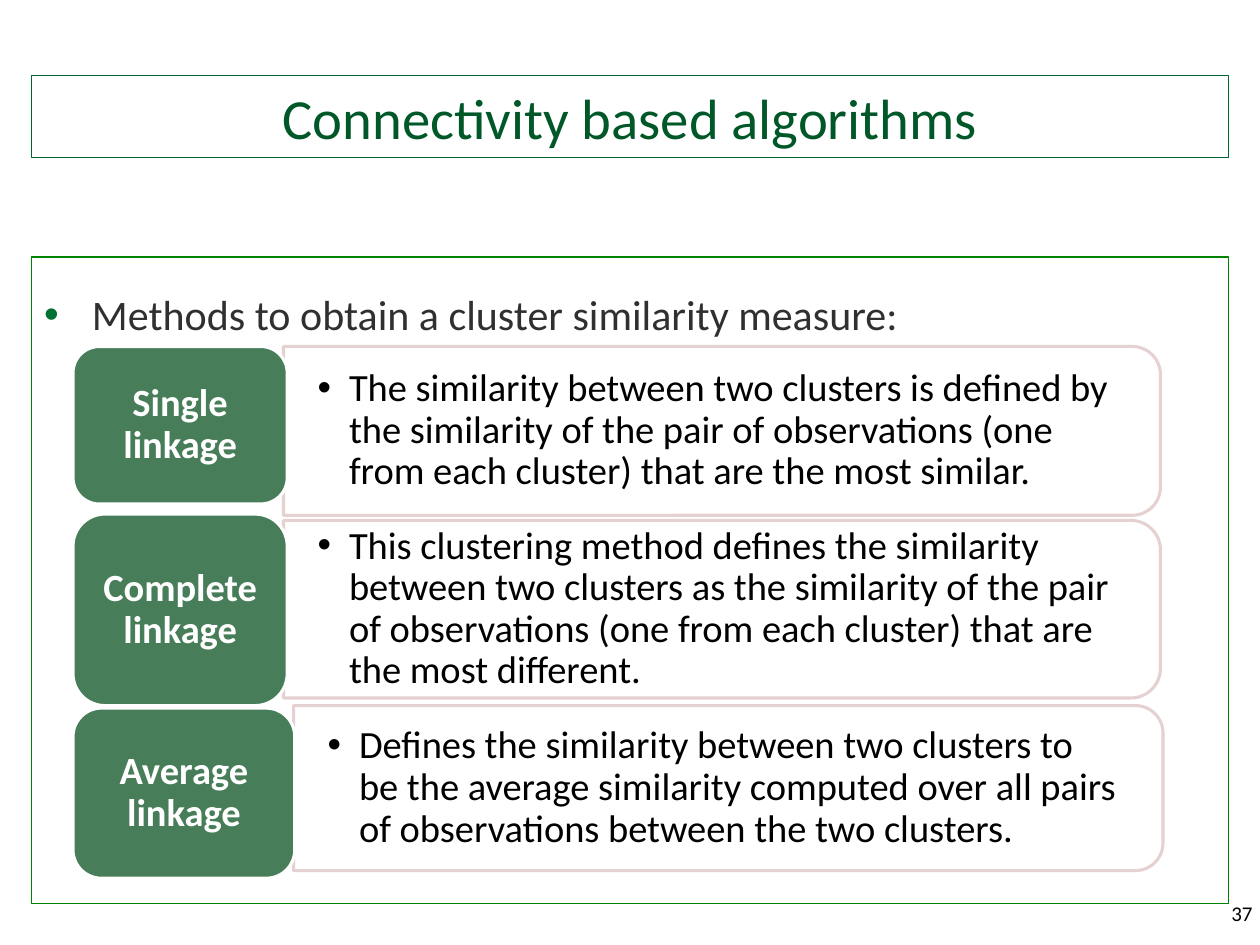
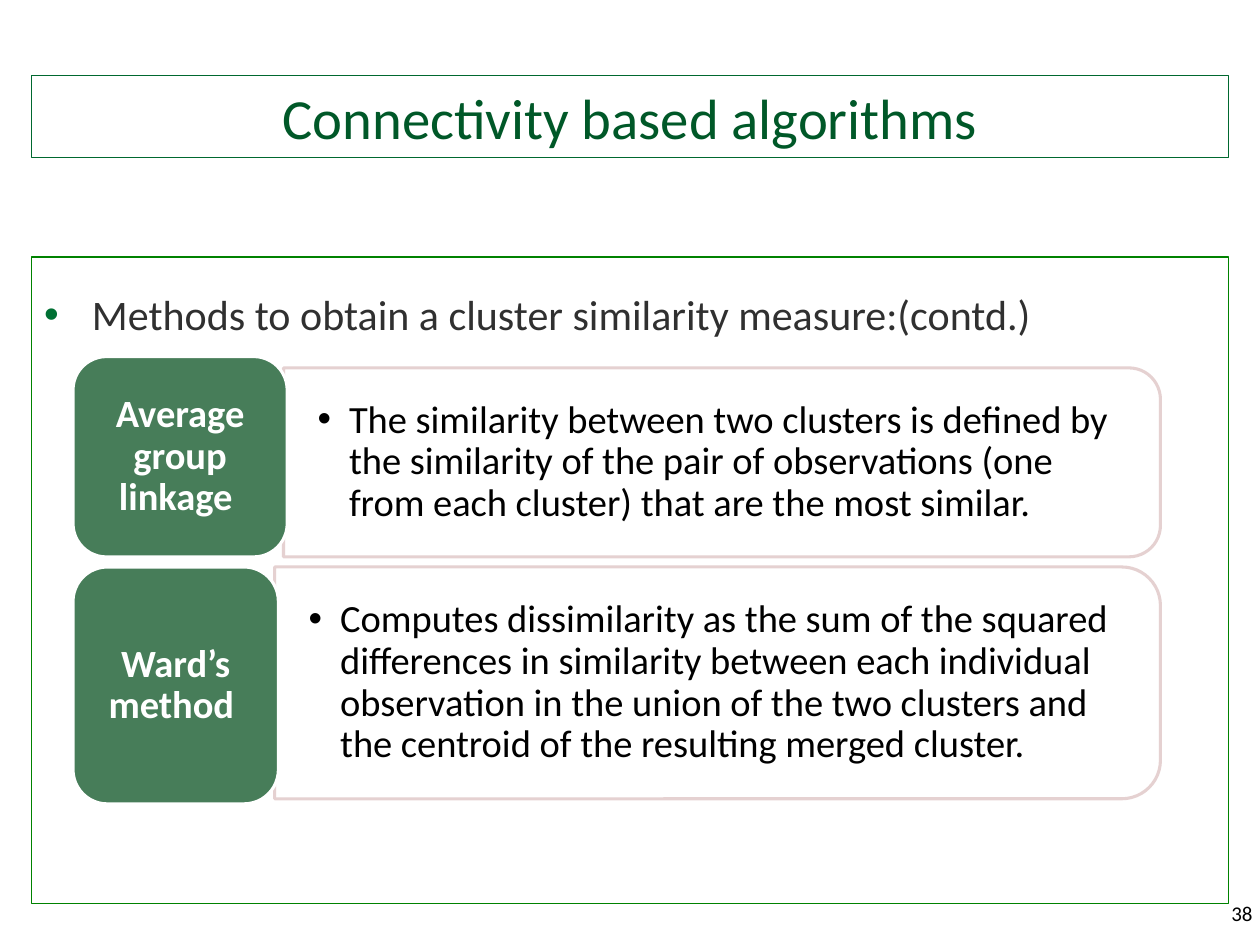
import pptx
import pptx.util
import pptx.dml.color
import pptx.enum.shapes
import pptx.enum.text
import pptx.oxml.ns
import lxml.etree

Inches = pptx.util.Inches
Pt = pptx.util.Pt
SHAPE = pptx.enum.shapes.MSO_SHAPE
ALIGN = pptx.enum.text.PP_ALIGN
ANCHOR = pptx.enum.text.MSO_ANCHOR
qn = pptx.oxml.ns.qn

FONT = "Calibri"
COLOURS = {
    "title": "005828", "title_line": "00682F",
    "body": "303030", "body_line": "008200", "bullet": "007033",
    "label": "477D59", "panel_line": "E3CCCC",
    "white": "FFFFFF", "black": "000000",
}
RGB = {name: pptx.dml.color.RGBColor.from_string(value) for name, value in COLOURS.items()}
LABEL_LEFT = 0.58

slides = [
    {
        "number": "37",
        "lead": "Methods to obtain a cluster similarity measure:",
        "methods": [
            {"name": "Single linkage", "label": (2.75, 1.7, 1.25), "panel": (2.25, 2.75, 6.96, 1.34),
             "text": "The similarity between two clusters is defined by the similarity of the pair of "
                     "observations (one from each cluster) that are the most similar."},
            {"name": "Complete linkage", "label": (4.08, 1.7, 1.52), "panel": (2.25, 4.13, 6.96, 1.41),
             "text": "This clustering method defines the similarity between two clusters as the similarity "
                     "of the pair of observations (one from each cluster) that are the most different."},
            {"name": "Average linkage", "label": (5.62, 1.76, 1.35), "panel": (2.33, 5.6, 6.9, 1.31),
             "text": "Defines the similarity between two clusters to be the average similarity computed "
                     "over all pairs of observations between the two clusters."},
        ],
    },
    {
        "number": "38",
        "lead": "Methods to obtain a cluster similarity measure:(contd.)",
        "methods": [
            {"name": "Average group linkage ", "label": (2.83, 1.7, 1.59), "panel": (2.25, 2.92, 6.96, 1.5),
             "text": "The similarity between two clusters is defined by the similarity of the pair of "
                     "observations (one from each cluster) that are the most similar."},
            {"name": "Ward’s method ", "label": (4.5, 1.63, 1.88), "panel": (2.18, 4.5, 7.03, 1.84),
             "text": "Computes dissimilarity as the sum of the squared differences in similarity between "
                     "each individual observation in the union of the two clusters and the centroid of "
                     "the resulting merged cluster."},
        ],
    },
]


def write(box, text, size, colour, align, anchor, spacing=1.0, insets=(0.1, 0.05), bold=False):
    frame = box.text_frame
    frame.word_wrap = True
    frame.auto_size = pptx.enum.text.MSO_AUTO_SIZE.NONE
    frame.vertical_anchor = anchor
    frame.margin_left = frame.margin_right = Inches(insets[0])
    frame.margin_top = frame.margin_bottom = Inches(insets[1])
    para = frame.paragraphs[0]
    para.alignment = align
    para.line_spacing = spacing
    para.space_before = Pt(0)
    span = para.add_run()
    span.text = text
    span.font.name = FONT
    span.font.size = Pt(size)
    span.font.bold = bold
    span.font.color.rgb = RGB[colour]
    return para


def add_bullet(para, indent, colour):
    props = para._p.get_or_add_pPr()
    props.set("marL", str(Inches(indent)))
    props.set("indent", str(-Inches(indent)))
    tint = lxml.etree.SubElement(props, qn("a:buClr"))
    lxml.etree.SubElement(tint, qn("a:srgbClr"), val=COLOURS[colour])
    lxml.etree.SubElement(props, qn("a:buFont"), typeface="Arial")
    lxml.etree.SubElement(props, qn("a:buChar"), char="•")


deck = pptx.Presentation()
deck.slide_width = Inches(10)
deck.slide_height = Inches(7.5)

for content in slides:
    page = deck.slides.add_slide(deck.slide_layouts[1])
    title = page.shapes.title
    body = page.placeholders[1]
    for holder, top, height, line in ((title, 0.6, 0.65, "title_line"), (body, 2.04, 5.13, "body_line")):
        holder.left, holder.top = Inches(0.25), Inches(top)
        holder.width, holder.height = Inches(9.5), Inches(height)
        holder.line.color.rgb = RGB[line]
        holder.line.width = Pt(0.75)
    write(title, "Connectivity based algorithms", 32.4, "title", ALIGN.CENTER, ANCHOR.BOTTOM)
    lead = write(body, content["lead"], 24, "body", ALIGN.LEFT, ANCHOR.TOP, 1.5)
    add_bullet(lead, 0.38, "bullet")

    number = page.shapes.add_textbox(Inches(9.21), Inches(7.1), Inches(0.83), Inches(0.4))
    write(number, content["number"], 12, "black", ALIGN.RIGHT, ANCHOR.TOP)

    for method in content["methods"]:
        left, top, width, height = method["panel"]
        panel = page.shapes.add_shape(
            SHAPE.ROUND_2_SAME_RECTANGLE,
            Inches(left + (width - height) / 2), Inches(top + (height - width) / 2),
            Inches(height), Inches(width))
        panel.rotation = 90
        label_top, label_width, label_height = method["label"]
        label = page.shapes.add_shape(
            SHAPE.ROUNDED_RECTANGLE, Inches(LABEL_LEFT), Inches(label_top),
            Inches(label_width), Inches(label_height))
        for shape, fill, line in ((panel, "white", "panel_line"), (label, "label", "white")):
            shape.shadow.inherit = False
            shape.fill.solid()
            shape.fill.fore_color.rgb = RGB[fill]
            shape.line.color.rgb = RGB[line]
            shape.line.width = Pt(1.75)
        for tint in panel._element.spPr.iter(qn("a:srgbClr")):
            lxml.etree.SubElement(tint, qn("a:alpha"), val="90000")
        write(label, method["name"], 22, "white", ALIGN.CENTER, ANCHOR.MIDDLE, 0.9, (0.09, 0.05), True)

        detail = page.shapes.add_textbox(
            Inches(left), Inches(top + 0.07), Inches(width - 0.07), Inches(height - 0.14))
        para = write(detail, method["text"], 22, "black", ALIGN.LEFT, ANCHOR.MIDDLE, 0.9, (0.27, 0.14))
        add_bullet(para, 0.25, "black")

deck.save("out.pptx")
